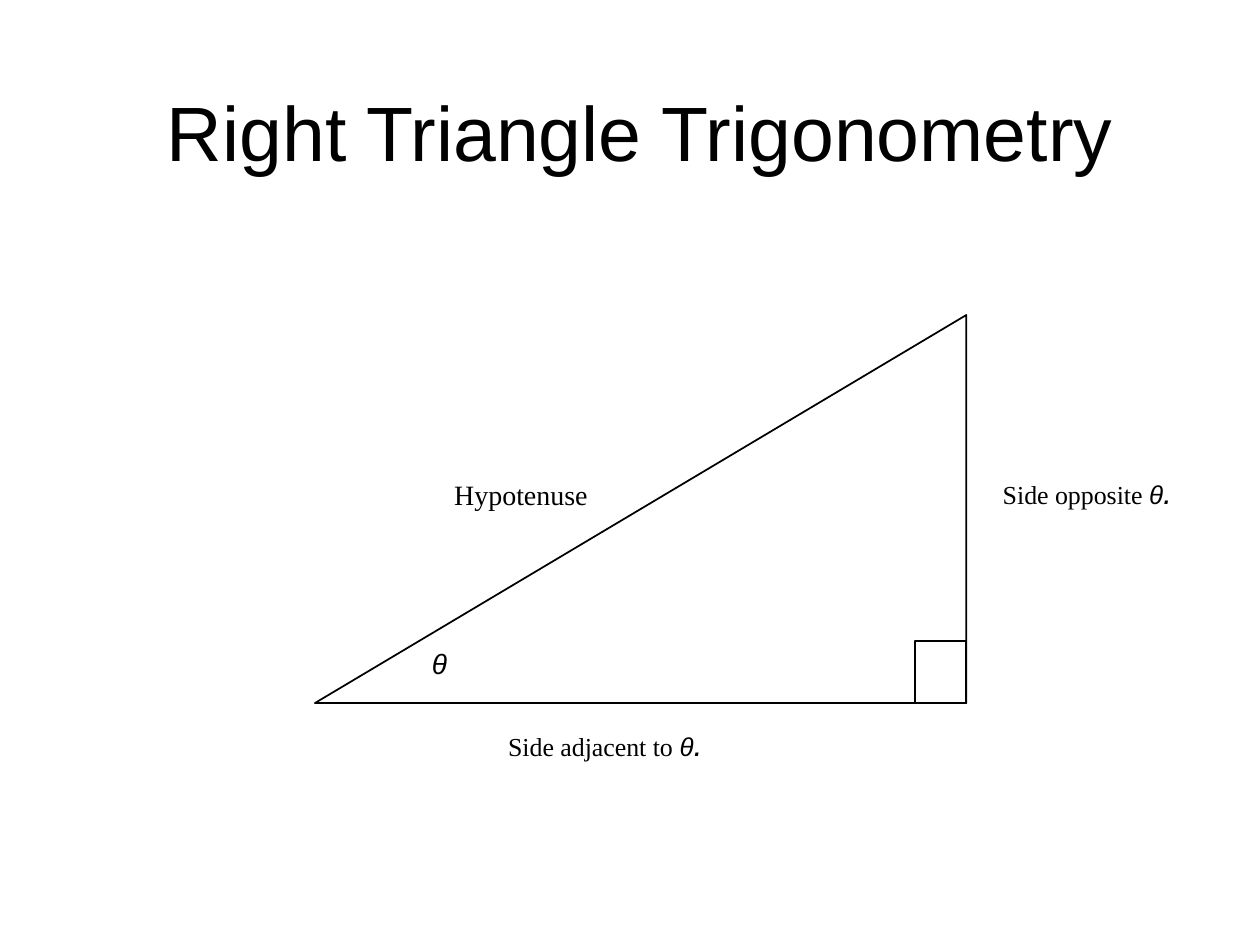
"""Build the slide that names the sides of a right triangle."""
from typing import NamedTuple

from pptx import Presentation
from pptx.dml.color import RGBColor
from pptx.enum.shapes import MSO_SHAPE
from pptx.enum.text import MSO_ANCHOR, MSO_AUTO_SIZE, PP_ALIGN
from pptx.util import Inches, Pt

MIDDLE, TOP = MSO_ANCHOR.MIDDLE, MSO_ANCHOR.TOP
CENTER, LEFT = PP_ALIGN.CENTER, PP_ALIGN.LEFT
RIGHT_TRIANGLE, RECTANGLE = MSO_SHAPE.RIGHT_TRIANGLE, MSO_SHAPE.RECTANGLE
GROW, FIXED = MSO_AUTO_SIZE.SHAPE_TO_FIT_TEXT, MSO_AUTO_SIZE.NONE

COLORS = {"ink": "000000", "paper": "FFFFFF"}
SANS, SERIF = "Arial", "Times New Roman"
SLIDE_WIDTH, SLIDE_HEIGHT = 10, 7.5


class Box(NamedTuple):
    left: float
    top: float
    width: float
    height: float

    def lengths(self) -> list:
        return [Inches(value) for value in self]


class Piece(NamedTuple):
    text: str
    size: float
    font: str = SERIF
    italic: bool = False


class Label(NamedTuple):
    box: Box
    pieces: tuple
    spacing: float = 1.0


TITLE_BOX = Box(0.58, 0.58, 0.9 * SLIDE_WIDTH, 0.92)
TRIANGLE = Box(SLIDE_WIDTH / 4, SLIDE_HEIGHT / 3, 5.17, 3.08)
CORNER_WIDTH, CORNER_HEIGHT = 0.41, 0.49
CORNER = Box(TRIANGLE.left + TRIANGLE.width - CORNER_WIDTH,
             TRIANGLE.top + TRIANGLE.height - CORNER_HEIGHT,
             CORNER_WIDTH, CORNER_HEIGHT)
ANGLE_BOX = Box(3.33, 5.08, 0.32, 0.37)
SIDE_ROW, BASE_ROW, LABEL_HEIGHT = 3.76, 5.76, 0.32
SIDE_SIZE = 14.8
THETA_END = (Piece("θ", SIDE_SIZE, SANS, True), Piece(".", 18.5, SANS, True))

SIDE_LABELS = (
    Label(Box(3.47, SIDE_ROW, 1.33, LABEL_HEIGHT), (Piece("Hypotenuse", 16),)),
    Label(Box(7.77, SIDE_ROW, 1.72, LABEL_HEIGHT),
          (Piece("Side opposite ", SIDE_SIZE), *THETA_END), 0.9),
    Label(Box(3.98, BASE_ROW, 1.7, LABEL_HEIGHT),
          (Piece("Side adjacent to ", SIDE_SIZE), *THETA_END,
           Piece(" ", SIDE_SIZE)), 0.9),
)


def color(name: str) -> RGBColor:
    return RGBColor.from_string(COLORS[name])


def write(frame, pieces: tuple, align, anchor, spacing: float = 1.0) -> None:
    frame.vertical_anchor = anchor
    paragraph = frame.paragraphs[0]
    paragraph.alignment = align
    paragraph.line_spacing = spacing
    for piece in pieces:
        run = paragraph.add_run()
        run.text = piece.text
        run.font.size = Pt(piece.size)
        run.font.name = piece.font
        run.font.italic = piece.italic
        run.font.color.rgb = color("ink")


def add_title(slide) -> None:
    title = slide.shapes.title
    title.left, title.top, title.width, title.height = TITLE_BOX.lengths()
    title.text_frame.auto_size = FIXED
    write(title.text_frame, (Piece("Right Triangle Trigonometry", 44, SANS),),
          CENTER, MIDDLE)


def add_side_label(slide, label: Label) -> None:
    frame = slide.shapes.add_textbox(*label.box.lengths()).text_frame
    frame.word_wrap = True
    frame.margin_left = frame.margin_right = 0
    frame.margin_top = frame.margin_bottom = 0
    write(frame, label.pieces, CENTER, MIDDLE, label.spacing)


def add_angle(slide) -> None:
    frame = slide.shapes.add_textbox(*ANGLE_BOX.lengths()).text_frame
    frame.word_wrap = False
    frame.auto_size = GROW
    write(frame, (Piece("θ", 16, SANS, True),), LEFT, TOP)


def add_outline(slide, preset, box: Box, mirrored: bool = False) -> None:
    outline = slide.shapes.add_shape(preset, *box.lengths())
    outline.shadow.inherit = False
    outline.fill.background()
    outline.line.color.rgb = color("ink")
    outline.line.width = Pt(1)
    if mirrored:
        outline.element.spPr.get_or_add_xfrm().set("flipH", "1")


def main() -> None:
    deck = Presentation()
    deck.slide_width, deck.slide_height = Inches(SLIDE_WIDTH), Inches(SLIDE_HEIGHT)
    slide = deck.slides.add_slide(deck.slide_layouts.get_by_name("Title Only"))
    slide.background.fill.solid()
    slide.background.fill.fore_color.rgb = color("paper")
    add_title(slide)
    for label in SIDE_LABELS:
        add_side_label(slide, label)
    add_outline(slide, RIGHT_TRIANGLE, TRIANGLE, mirrored=True)
    add_angle(slide)
    add_outline(slide, RECTANGLE, CORNER)
    deck.save("out.pptx")


if __name__ == "__main__":
    main()
